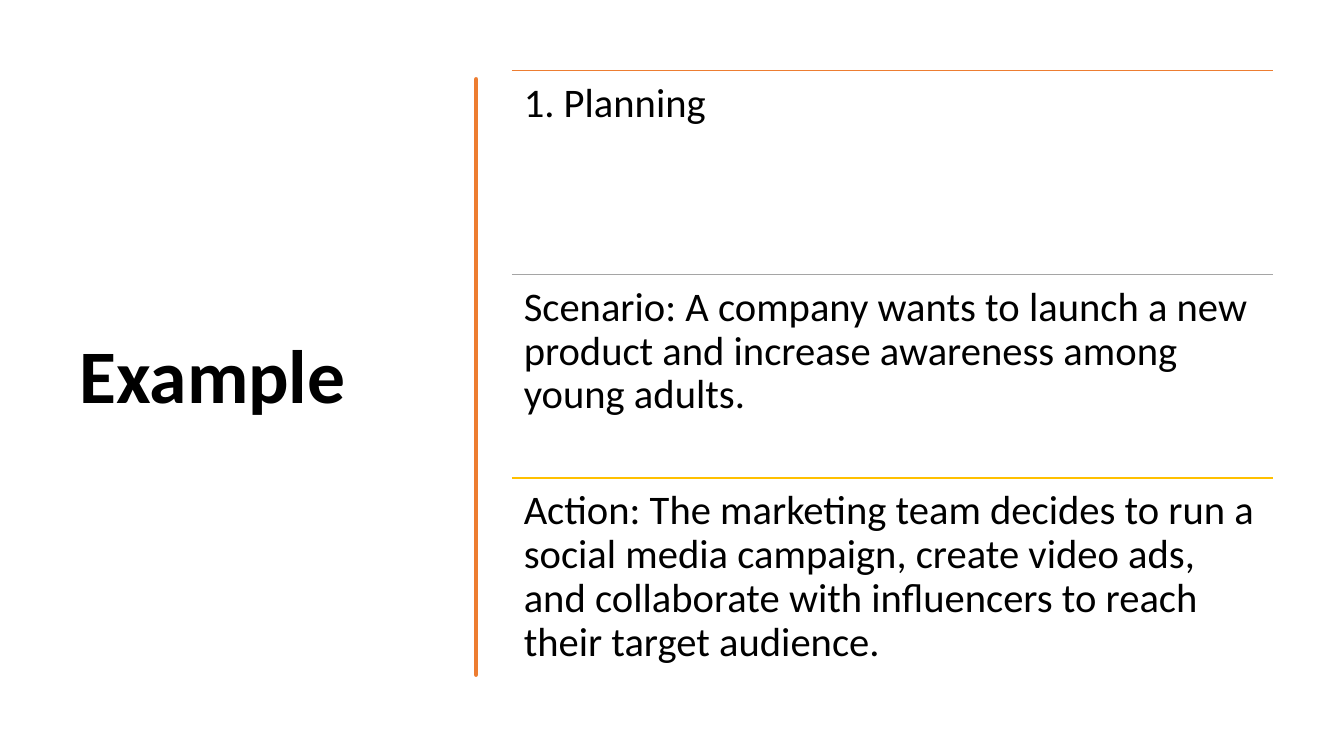
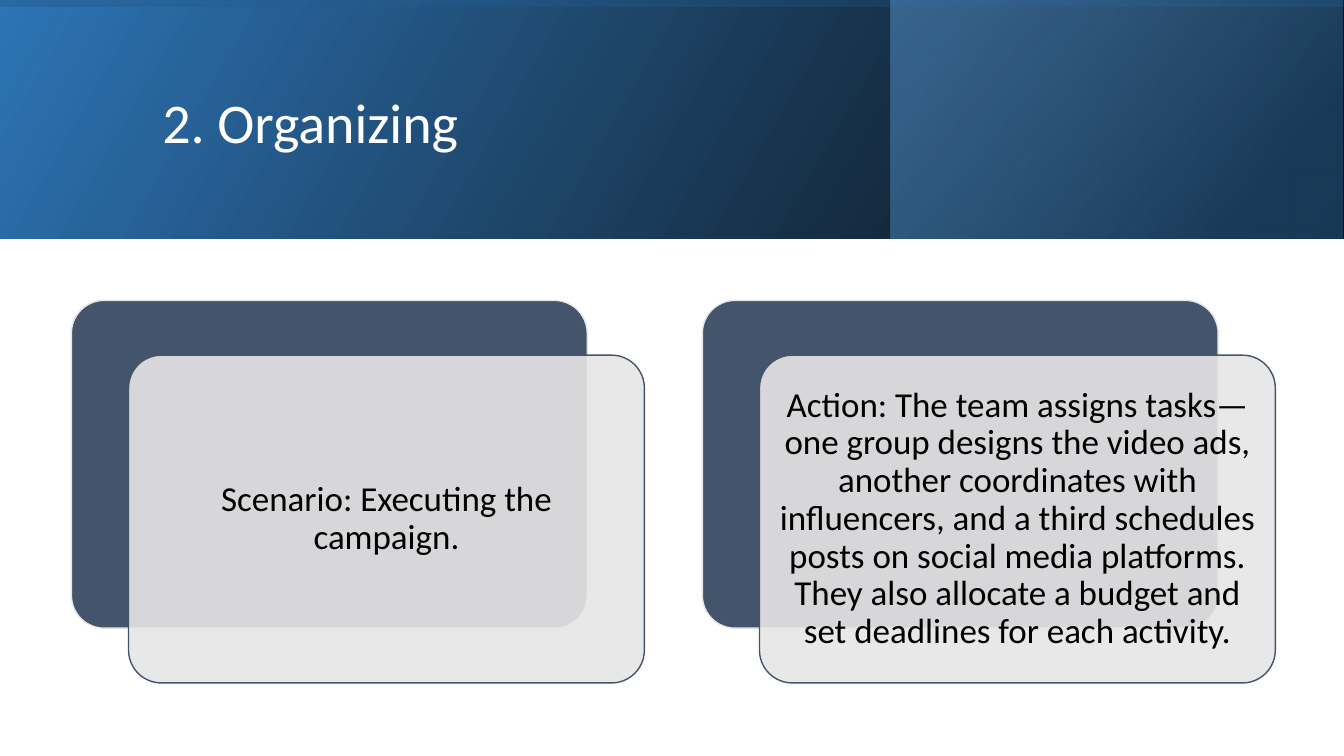
import pptx
import pptx.util
import pptx.dml.color
import pptx.enum.shapes
import pptx.enum.text
import pptx.oxml.ns
from lxml import etree

Cm, Pt = pptx.util.Cm, pptx.util.Pt
qn = pptx.oxml.ns.qn
SHAPE = pptx.enum.shapes.MSO_SHAPE
ANCHOR = pptx.enum.text.MSO_ANCHOR
ALIGN = pptx.enum.text.PP_ALIGN

FONT = "Calibri"
COLORS = {
    "black": "000000", "white": "FFFFFF", "orange": "ED7D31", "gray": "A5A5A5",
    "gold": "FFC000", "slate": "44546A", "light": "E7E6E6",
    "blue": "2E75B6", "navy": "1F4E79", "sky": "5B9BD5",
}

# Slide 1: rule colour and text of each row
ROWS = [
    ("orange", "1. Planning"),
    ("gray", "Scenario: A company wants to launch a new product and increase "
             "awareness among young adults."),
    ("gold", "Action: The marketing team decides to run a social media campaign, "
             "create video ads, and collaborate with influencers to reach their "
             "target audience."),
]
ROW_LEFT, ROW_TOP, ROW_WIDTH, ROW_HEIGHT = 12.9, 1.78, 19.18, 5.13

# Divider edges in cm: x, start y, then curves (dx1, y1, dx2, y2, end y)
DIVIDER_EDGES = [
    (12.06, 2.13, [
        (.05, 2.59, .05, 3.02, 3.71), (-.05, 4.39, .03, 4.95, 5.74),
        (-.03, 6.53, 0, 6.65, 7.47), (-.03, 8.26, .05, 8.69, 9.04),
        (-.05, 9.4, .1, 10.52, 11.07), (-.1, 11.61, -.08, 12.29, 12.95),
        (.05, 13.61, .05, 14.33, 14.83), (-.05, 15.32, .03, 16.51, 17.17)]),
    (12.01, 17.17, [
        (.03, 16.41, -.05, 16.36, 15.57), (.03, 14.81, .03, 14.48, 14.15),
        (-.03, 13.82, -.03, 12.57, 12.12), (0, 11.66, -.05, 11.3, 10.54),
        (.03, 9.8, -.03, 9.47, 8.51), (.03, 7.57, -.03, 7.14, 6.35),
        (.03, 5.54, .05, 5.08, 4.6), (-.08, 4.14, .1, 2.64, 2.13)]),
]
CURVE_STEPS = 8

# Slide 2: box, rotation, gradient angle, stops (position, colour, opacity %)
BAND_WIDTH, BAND_HEIGHT = 33.87, 6.02
MIDDLE = (BAND_WIDTH - BAND_HEIGHT) / 2
BANDS = [
    ((0, 0, BAND_WIDTH, BAND_HEIGHT), 0, 330,
     [(0, "black", 96), (1, "blue", 100)]),
    ((22.45, 0, 11.38, BAND_HEIGHT), 0, 320,
     [(.19, "navy", 68), (1, "sky", 48)]),
    ((MIDDLE, -MIDDLE, BAND_HEIGHT, BAND_WIDTH), 270, 350,
     [(.23, "blue", 16), (.99, "black", 45)]),
]
CARDS = [
    "Scenario: Executing the campaign.",
    "Action: The team assigns tasks—one group designs the video ads, another "
    "coordinates with influencers, and a third schedules posts on social media "
    "platforms. They also allocate a budget and set deadlines for each activity.",
]
CARD_LEFT, CARD_TOP, CARD_WIDTH, CARD_HEIGHT = 1.8, 7.57, 13, 8.26
CARD_STEP, FRONT_DX, FRONT_DY = 15.9, 1.44, 1.38


def rgb(name):
    return pptx.dml.color.RGBColor.from_string(COLORS[name])


def cm(*values):
    return [Cm(v) for v in values]


def write(shape, text, size, color="black", bold=False, align=ALIGN.LEFT,
          anchor=ANCHOR.MIDDLE, inset=.25):
    tf = shape.text_frame
    tf.word_wrap = True
    tf.auto_size = pptx.enum.text.MSO_AUTO_SIZE.NONE
    tf.vertical_anchor = anchor
    tf.margin_left = tf.margin_right = tf.margin_top = tf.margin_bottom = Cm(inset)
    p = tf.paragraphs[0]
    p.alignment = align
    p.line_spacing = .9
    r = p.add_run()
    r.text = text
    r.font.name, r.font.size, r.font.bold = FONT, Pt(size), bold
    r.font.color.rgb = rgb(color)


def set_title(s, text, box, size, **style):
    """Fill the title placeholder and bring it in front of earlier shapes."""
    title = s.shapes.title
    title.left, title.top, title.width, title.height = cm(*box)
    write(title, text, size, **style)
    title.element.getparent().append(title.element)


def set_opacity(shape, *percents):
    """Give the fill colours of a shape, in order, their opacity."""
    for clr, percent in zip(shape.element.iter(qn("a:srgbClr")), percents):
        etree.SubElement(clr, qn("a:alpha"), val=str(percent * 1000))


def add_rule(s, left, top, width, color):
    line = s.shapes.add_connector(pptx.enum.shapes.MSO_CONNECTOR.STRAIGHT,
                                  *cm(left, top, left + width, top))
    line.line.color.rgb = rgb(color)
    line.line.width = Pt(1)
    etree.SubElement(line.element.spPr, qn("a:effectLst"))


def edge_points(x, y, curves):
    points = [(x, y)]
    for dx1, y1, dx2, y2, end in curves:
        for i in range(1, CURVE_STEPS + 1):
            t = i / CURVE_STEPS
            u = 1 - t
            b1, b2 = 3 * u * u * t, 3 * u * t * t
            points.append((x + b1 * dx1 + b2 * dx2,
                           u ** 3 * y + b1 * y1 + b2 * y2 + t ** 3 * end))
        y = end
    return points


def add_divider(s):
    points = [pt for edge in DIVIDER_EDGES for pt in edge_points(*edge)]
    builder = s.shapes.build_freeform(*points[0], scale=Cm(1))
    builder.add_line_segments(points[1:], close=True)
    sp = builder.convert_to_shape()
    sp.shadow.inherit = False
    sp.fill.solid()
    sp.fill.fore_color.rgb = rgb("orange")
    sp.line.color.rgb = rgb("orange")
    sp.line.width = Pt(3.25)


def add_band(s, box, rotation, angle, stops):
    sp = s.shapes.add_shape(SHAPE.RECTANGLE, *cm(*box))
    sp.shadow.inherit = False
    sp.rotation = rotation
    sp.element.spPr.find(qn("a:xfrm")).set("flipH", "1")
    sp.line.fill.background()
    sp.fill.gradient()
    sp.fill.gradient_angle = 360 - angle
    for stop, (position, color, _) in zip(sp.fill.gradient_stops, stops):
        stop.position = position
        stop.color.rgb = rgb(color)
    set_opacity(sp, *[opacity for _, _, opacity in stops])


def add_card(s, left, top, fill, line):
    sp = s.shapes.add_shape(SHAPE.ROUNDED_RECTANGLE,
                            *cm(left, top, CARD_WIDTH, CARD_HEIGHT))
    sp.adjustments[0] = .1
    sp.shadow.inherit = False
    sp.fill.solid()
    sp.fill.fore_color.rgb = rgb(fill)
    sp.line.color.rgb = rgb(line)
    sp.line.width = Pt(1)
    return sp


def build_example(s):
    set_title(s, "Example", (1.75, 1.78, 9.5, 15.52), 54, bold=True)
    add_divider(s)
    for i, (color, text) in enumerate(ROWS):
        top = ROW_TOP + i * ROW_HEIGHT
        add_rule(s, ROW_LEFT, top, ROW_WIDTH, color)
        box = s.shapes.add_textbox(*cm(ROW_LEFT, top, ROW_WIDTH, ROW_HEIGHT))
        write(box, text, 29, anchor=ANCHOR.TOP, inset=.3)


def build_organizing(s):
    for band in BANDS:
        add_band(s, *band)
    set_title(s, "2. Organizing", (3.84, .97, 27, 4.37), 40, color="white")
    for i, text in enumerate(CARDS):
        left = CARD_LEFT + i * CARD_STEP
        add_card(s, left, CARD_TOP, "slate", "light")
        front = add_card(s, left + FRONT_DX, CARD_TOP + FRONT_DY, "light", "slate")
        set_opacity(front, 90)
        write(front, text, 25, align=ALIGN.CENTER)


def main():
    prs = pptx.Presentation()
    prs.slide_width, prs.slide_height = cm(33.87, 19.05)
    title_only = prs.slide_layouts[5]
    for build in (build_example, build_organizing):
        build(prs.slides.add_slide(title_only))
    prs.save("out.pptx")


if __name__ == "__main__":
    main()
